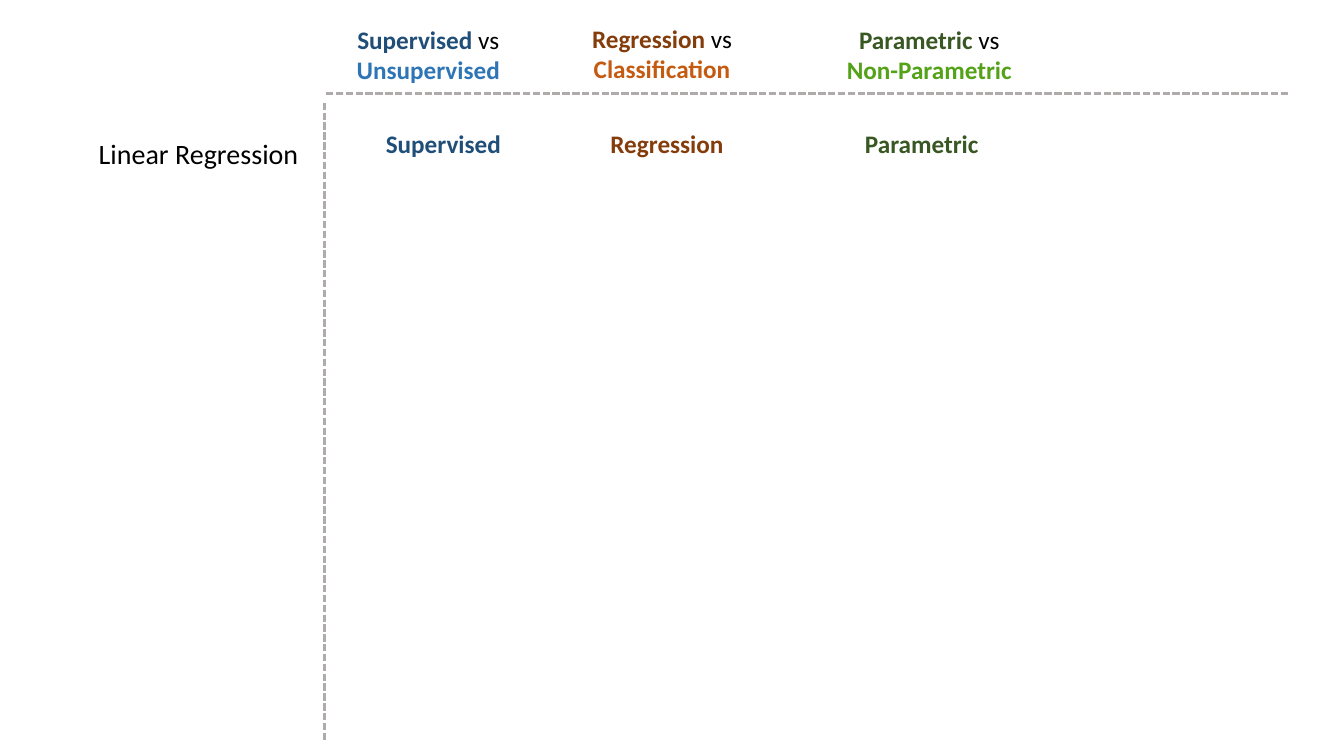
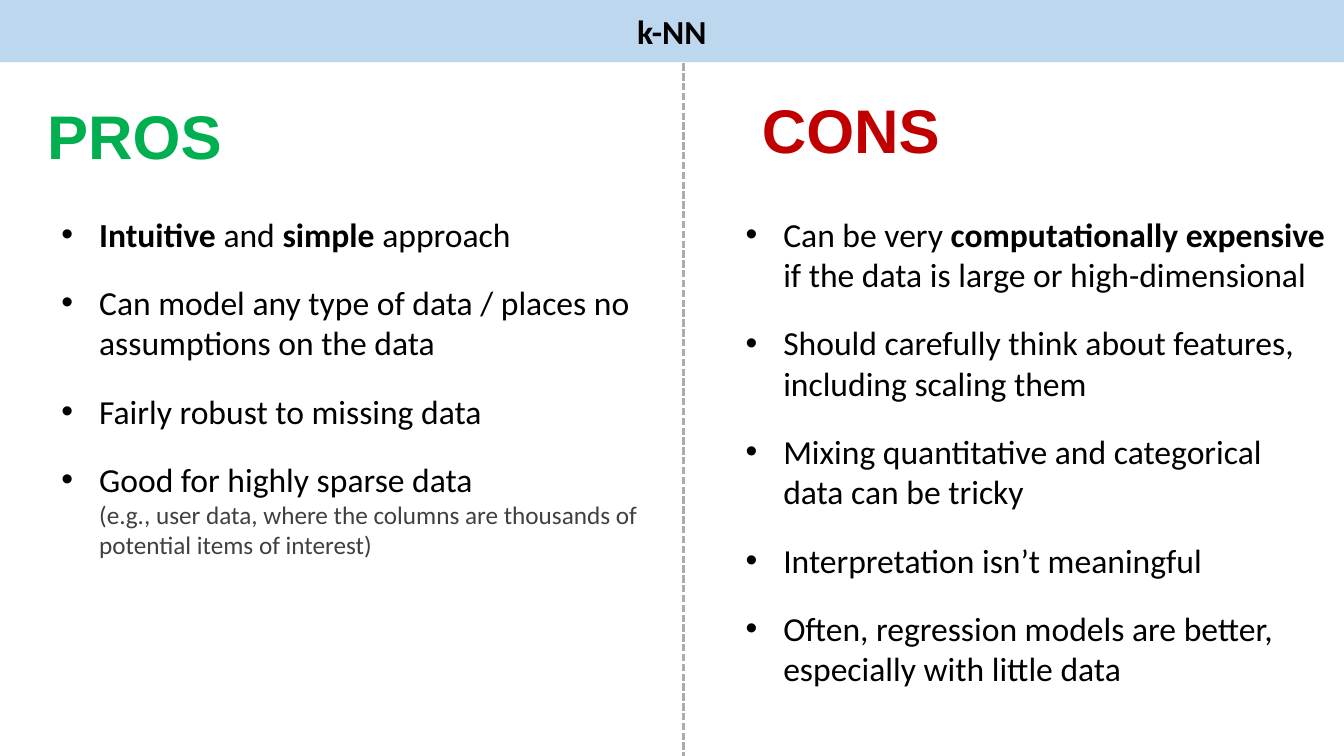
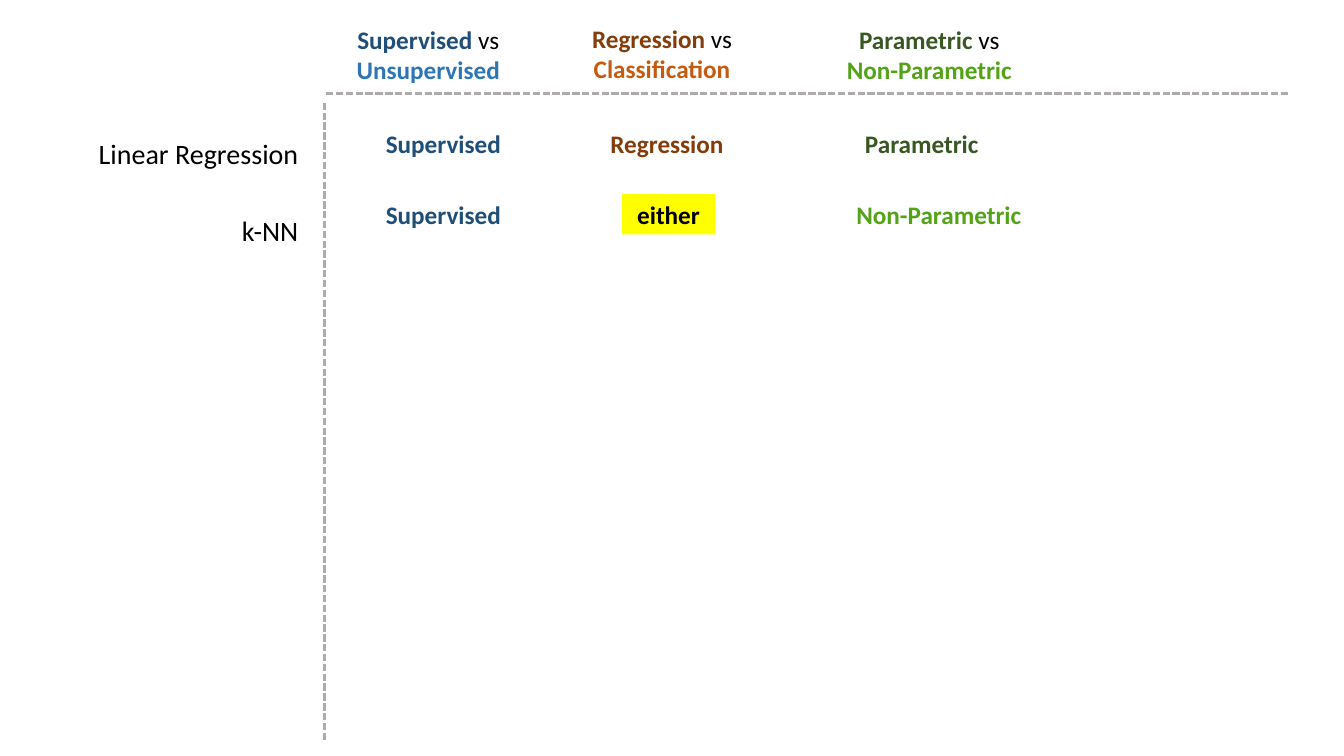
from lxml.etree import SubElement
from pptx import Presentation
from pptx.dml.color import RGBColor
from pptx.enum.dml import MSO_LINE
from pptx.enum.shapes import MSO_CONNECTOR, MSO_SHAPE
from pptx.enum.text import MSO_AUTO_SIZE, PP_ALIGN
from pptx.oxml.ns import qn
from pptx.util import Cm, Pt

BLACK = RGBColor(0x00, 0x00, 0x00)
GREY = RGBColor(0x40, 0x40, 0x40)
RULE = RGBColor(0xAF, 0xAB, 0xAB)
BAND = RGBColor(0xBD, 0xD7, 0xEE)
NAVY = RGBColor(0x1F, 0x4E, 0x79)
BLUE = RGBColor(0x2E, 0x75, 0xB6)
BROWN = RGBColor(0x84, 0x3C, 0x0B)
RUST = RGBColor(0xC5, 0x5A, 0x11)
PINE = RGBColor(0x38, 0x57, 0x23)
LIME = RGBColor(0x54, 0xA2, 0x18)
GREEN = RGBColor(0x00, 0xB0, 0x50)
RED = RGBColor(0xC0, 0x00, 0x00)
GOLD = RGBColor(0xFF, 0xFF, 0x00)

WIDE, HIGH = 33.87, 19.05
AXIS = 8.18
MID = 17.22

HEADS = [
    (8.18, 0.48, 5.23, [[("Supervised ", NAVY, True), ("vs", BLACK, False)],
                        [("Unsupervised", BLUE, True)]]),
    (13.79, 0.46, 5.79, [[("Regression ", BROWN, True), ("vs ", BLACK, False),
                          ("Classification", RUST, True)]]),
    (19.94, 0.48, 6.96, [[("Parametric ", PINE, True), ("vs", BLACK, False)],
                         [("Non-Parametric", LIME, True)]]),
]

ROWS = [
    ("Linear Regression", 3.12, [
        ("Supervised", 9.17, 4.01, NAVY, None),
        ("Regression", 14.83, 3.96, BROWN, None),
        ("Parametric", 21.31, 3.84, PINE, None)]),
    ("k-NN", 4.89, [
        ("Supervised", 9.17, 4.01, NAVY, None),
        ("either", 15.67, 2.36, BLACK, GOLD),
        ("Non-Parametric", 20.98, 5.36, LIME, None)]),
]

SIDES = [
    ("PROS", GREEN, 0.94, 2.34, 1.3, 10.8, [
        [("Intuitive ", True), ("and ", False), ("simple", True),
         (" approach", False)],
        [("Can model any type of data / places no assumptions on the data",
          False)],
        [("Fairly robust to missing data", False)],
        [("Good for highly sparse data", False)]],
     "(e.g., user data, where the columns are thousands of potential "
     "items of interest)"),
    ("CONS", RED, 18.95, 2.18, 18.54, 13.36, [
        [("Can be very ", False), ("computationally expensive", True),
         (" if the data is large or high-dimensional", False)],
        [("Should carefully think about features, including scaling them",
          False)],
        [("Mixing quantitative and categorical data can be tricky", False)],
        [("Interpretation isn’t meaningful", False)],
        [("Often, regression models are better, especially with little data",
          False)]],
     None),
]


def add_run(para, text, size, tint, bold=False, face="Calibri"):
    run = para.add_run()
    run.text = text
    font = run.font
    font.name, font.size, font.bold = face, Pt(size), bold
    font.color.rgb = tint


def add_box(slide, x, y, w, h, paras, size, align=PP_ALIGN.CENTER,
            face="Calibri", wrap=True):
    box = slide.shapes.add_textbox(Cm(x), Cm(y), Cm(w), Cm(h))
    frame = box.text_frame
    frame.word_wrap = wrap
    frame.auto_size = MSO_AUTO_SIZE.SHAPE_TO_FIT_TEXT
    for i, runs in enumerate(paras):
        para = frame.add_paragraph() if i else frame.paragraphs[0]
        para.alignment = align
        for text, tint, bold in runs:
            add_run(para, text, size, tint, bold, face)
    return box


def add_rule(slide, x1, y1, x2, y2):
    rule = slide.shapes.add_connector(
        MSO_CONNECTOR.STRAIGHT, Cm(x1), Cm(y1), Cm(x2), Cm(y2))
    rule.line.color.rgb = RULE
    rule.line.width = Pt(1.75)
    rule.line.dash_style = MSO_LINE.SQUARE_DOT
    SubElement(rule._element.spPr, qn("a:effectLst"))


def add_dot(para):
    props = para._p.get_or_add_pPr()
    props.set("marL", str(Cm(0.95)))
    props.set("indent", str(-Cm(0.95)))
    SubElement(props, qn("a:buFont")).set("typeface", "Arial")
    SubElement(props, qn("a:buChar")).set("char", "•")


def draw_grid(slide, rows):
    add_rule(slide, AXIS, 2.59, AXIS, 18.69)
    add_rule(slide, 32.46, 2.36, AXIS, 2.36)
    for x, y, w, paras in HEADS:
        add_box(slide, x, y, w, 1.8, paras, 18)
    names = [[(name, BLACK, False)] for name, _, _ in rows]
    side = add_box(slide, 0.86, 2.21, 6.91, 1.94 * len(rows), names, 20,
                   PP_ALIGN.RIGHT)
    for para in side.text_frame.paragraphs:
        para.line_spacing = Pt(55)
    for _, y, cells in rows:
        for text, x, w, tint, fill in cells:
            cell = add_box(slide, x, y, w, 1.02, [[(text, tint, True)]], 18,
                           wrap=False)
            if fill:
                cell.fill.solid()
                cell.fill.fore_color.rgb = fill


def draw_sides(slide, title):
    add_rule(slide, MID, 1.35, MID, HIGH)
    band = slide.shapes.add_shape(MSO_SHAPE.RECTANGLE, 0, 0, Cm(WIDE), Cm(1.57))
    band.shadow.inherit = False
    band.fill.solid()
    band.fill.fore_color.rgb = BAND
    band.line.fill.background()
    add_box(slide, 12.6, 0.15, 8.66, 1.27, [[(title, BLACK, True)]], 24)
    for head, tint, hx, hy, x, h, points, note in SIDES:
        add_box(slide, hx, hy, 5.13, 2.13, [[(head, tint, True)]], 44,
                PP_ALIGN.LEFT, "Arial")
        paras = [[(text, BLACK, bold) for text, bold in runs]
                 for runs in points]
        box = add_box(slide, x, 5.26, 15.11, h, paras, 24, PP_ALIGN.LEFT)
        items = box.text_frame.paragraphs
        for i, para in enumerate(items):
            add_dot(para)
            para.space_before = Pt(20 if i else 0)
        if note:
            items[-1].add_line_break()
            add_run(items[-1], note, 18, GREY)


def main():
    deck = Presentation()
    deck.slide_width, deck.slide_height = Cm(WIDE), Cm(HIGH)
    blank = deck.slide_layouts[6]
    draw_grid(deck.slides.add_slide(blank), ROWS[:1])
    draw_sides(deck.slides.add_slide(blank), "k-NN")
    draw_grid(deck.slides.add_slide(blank), ROWS)
    deck.save("out.pptx")


if __name__ == "__main__":
    main()
